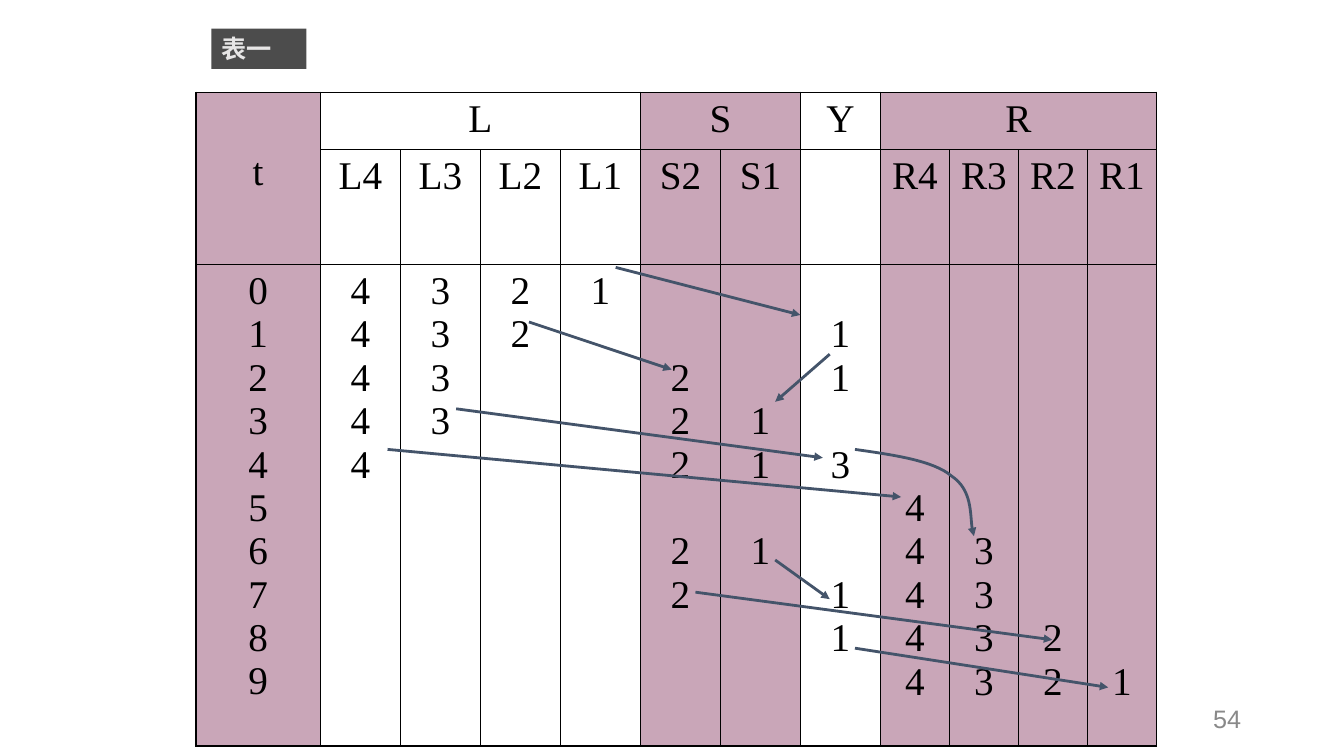
from dataclasses import dataclass

from lxml.etree import SubElement
from pptx import Presentation
from pptx.dml.color import RGBColor
from pptx.enum.shapes import MSO_CONNECTOR, MSO_SHAPE
from pptx.enum.text import MSO_ANCHOR, MSO_AUTO_SIZE, PP_ALIGN
from pptx.oxml.ns import qn
from pptx.util import Pt

COLORS = {
    "ink": "000000",
    "shade": "954F72",
    "arrow": "44546A",
    "label": "E7E6E6",
    "number": "898989",
}
SERIF = "Times New Roman"
TABLE_SIZE = 28
LINE_PITCH = 31
CELL_MARGIN = 3.6
TIME_OFFSET = 38
INNER_BORDER = 0.45
OUTER_BORDER = 1.08
ROW_HEIGHTS = (41, 82, 344)


@dataclass(frozen=True)
class Column:
    name: str
    width: float
    shaded: bool
    trace: str


@dataclass(frozen=True)
class Group:
    name: str
    first: int
    columns: int
    rows: int = 1


@dataclass(frozen=True)
class Arrow:
    x1: float
    y1: float
    x2: float
    y2: float


COLUMNS = (
    Column("", 89, True, "0123456789"),
    Column("L4", 57.2, False, "44444"),
    Column("L3", 57.2, False, "3333"),
    Column("L2", 57.2, False, "22"),
    Column("L1", 57.2, False, "1"),
    Column("S2", 57.2, True, "..222.22"),
    Column("S1", 57.2, True, "...11.1"),
    Column("", 57.2, False, ".11.3..11"),
    Column("R4", 49.3, True, ".....44444"),
    Column("R3", 49.3, True, "......3333"),
    Column("R2", 49.3, True, "........22"),
    Column("R1", 49.3, True, ".........1"),
)
GROUPS = (
    Group("t", 0, 1, 2),
    Group("L", 1, 4),
    Group("S", 5, 2),
    Group("Y", 7, 1),
    Group("R", 8, 4),
)
ARROWS = (
    Arrow(440, 191, 572, 225),
    Arrow(378, 230, 480, 264),
    Arrow(326, 292, 588, 327),
    Arrow(277, 321, 644, 355),
    Arrow(554, 400, 593, 428),
    Arrow(497, 423, 752, 457),
    Arrow(611, 463, 792, 491),
    Arrow(593, 253, 554, 287),
)
CURVE = (
    (611, 321), (639, 325), (667, 329), (680, 340),
    (695, 350), (693, 376), (696, 383),
)


def color(name: str) -> RGBColor:
    return RGBColor.from_string(COLORS[name])


def fill_translucent(fill, name: str, percent: int) -> None:
    fill.solid()
    fill.fore_color.rgb = color(name)
    for value in fill._xPr.find(qn("a:solidFill")):
        SubElement(value, qn("a:alpha"), val=str(percent * 1000))


def add_run(paragraph, text: str, size: float, font: str, name: str, bold: bool = False) -> None:
    run = paragraph.add_run()
    run.text = text
    run.font.size = Pt(size)
    run.font.name = font
    run.font.bold = bold
    run.font.color.rgb = color(name)


def write_cell(cell, trace: str) -> None:
    paragraph = None
    skipped = 0
    for value in trace:
        if value == ".":
            skipped += 1
            continue
        if paragraph is None:
            paragraph = cell.text_frame.paragraphs[0]
            cell.margin_top = Pt(CELL_MARGIN + skipped * LINE_PITCH)
        else:
            paragraph = cell.text_frame.add_paragraph()
            paragraph.space_before = Pt(skipped * LINE_PITCH)
        paragraph.alignment = PP_ALIGN.CENTER
        add_run(paragraph, value, TABLE_SIZE, SERIF, "ink")
        skipped = 0


def write_heading(cell, text: str) -> None:
    paragraph = cell.text_frame.paragraphs[0]
    paragraph.alignment = PP_ALIGN.CENTER
    add_run(paragraph, text, TABLE_SIZE, SERIF, "ink")


def style_cell(cell, row: int, index: int) -> None:
    last_row = row + cell.span_height - 1 if cell.is_merge_origin else row
    last_column = index + cell.span_width - 1 if cell.is_merge_origin else index
    outer = {
        "L": index == 0,
        "R": last_column == len(COLUMNS) - 1,
        "T": row == 0,
        "B": last_row == len(ROW_HEIGHTS) - 1,
    }
    properties = cell._tc.get_or_add_tcPr()
    for side, is_outer in outer.items():
        width = Pt(OUTER_BORDER if is_outer else INNER_BORDER)
        border = SubElement(properties, qn(f"a:ln{side}"), w=str(width))
        SubElement(SubElement(border, qn("a:solidFill")), qn("a:srgbClr"), val=COLORS["ink"])
    if COLUMNS[index].shaded:
        fill_translucent(cell.fill, "shade", 50)
    else:
        cell.fill.background()


def add_trace_table(slide) -> None:
    width = sum(column.width for column in COLUMNS)
    table = slide.shapes.add_table(
        len(ROW_HEIGHTS), len(COLUMNS), Pt(140), Pt(66), Pt(width), Pt(sum(ROW_HEIGHTS))
    ).table
    table.first_row = False
    table.horz_banding = False
    for row, height in zip(table.rows, ROW_HEIGHTS):
        row.height = Pt(height)
    for group in GROUPS:
        cell = table.cell(0, group.first)
        if group.columns * group.rows > 1:
            cell.merge(table.cell(group.rows - 1, group.first + group.columns - 1))
        write_heading(cell, group.name)
    table.cell(0, 0).margin_top = Pt(CELL_MARGIN + TIME_OFFSET)
    for index, column in enumerate(COLUMNS):
        table.columns[index].width = Pt(column.width)
        if column.name:
            write_heading(table.cell(1, index), column.name)
        write_cell(table.cell(2, index), column.trace)
        for row in range(len(ROW_HEIGHTS)):
            cell = table.cell(row, index)
            if not cell.is_spanned:
                style_cell(cell, row, index)


def style_arrow(shape) -> None:
    shape.line.color.rgb = color("arrow")
    shape.line.width = Pt(2)
    SubElement(shape.line._get_or_add_ln(), qn("a:tailEnd"), type="triangle")


def add_arrow(slide, arrow: Arrow) -> None:
    connector = slide.shapes.add_connector(
        MSO_CONNECTOR.STRAIGHT, Pt(arrow.x1), Pt(arrow.y1), Pt(arrow.x2), Pt(arrow.y2)
    )
    style_arrow(connector)
    SubElement(connector._element.spPr, qn("a:effectLst"))


def add_curved_arrow(slide) -> None:
    start, *points = [(Pt(x), Pt(y)) for x, y in CURVE]
    builder = slide.shapes.build_freeform(*start)
    builder.add_line_segments(points, close=False)
    shape = builder.convert_to_shape()
    outline = next(shape._element.iter(qn("a:path")))
    segments = outline.findall(qn("a:lnTo"))
    for first in range(0, len(segments), 3):
        curve = SubElement(outline, qn("a:cubicBezTo"))
        for segment in segments[first:first + 3]:
            curve.append(segment[0])
            outline.remove(segment)
    shape.fill.background()
    shape.shadow.inherit = False
    style_arrow(shape)


def add_label(slide) -> None:
    shape = slide.shapes.add_shape(MSO_SHAPE.RECTANGLE, Pt(151), Pt(20.5), Pt(68), Pt(28.8))
    shape.shadow.inherit = False
    fill_translucent(shape.fill, "ink", 70)
    shape.line.fill.background()
    frame = shape.text_frame
    frame.word_wrap = True
    frame.auto_size = MSO_AUTO_SIZE.SHAPE_TO_FIT_TEXT
    frame.vertical_anchor = MSO_ANCHOR.TOP
    paragraph = frame.paragraphs[0]
    paragraph.alignment = PP_ALIGN.LEFT
    add_run(paragraph, "表一", 18, SERIF, "label", bold=True)


def add_slide_number(slide) -> None:
    frame = slide.shapes.add_textbox(Pt(678), Pt(500.4), Pt(216), Pt(28.8)).text_frame
    frame.word_wrap = True
    frame.vertical_anchor = MSO_ANCHOR.MIDDLE
    paragraph = frame.paragraphs[0]
    paragraph.alignment = PP_ALIGN.RIGHT
    paragraph.line_spacing = 0.9
    add_run(paragraph, "54", 18, "Arial", "number")


def main() -> None:
    presentation = Presentation()
    presentation.slide_width = Pt(960.5)
    presentation.slide_height = Pt(540)
    slide = presentation.slides.add_slide(presentation.slide_layouts[6])
    add_trace_table(slide)
    for arrow in ARROWS:
        add_arrow(slide, arrow)
    add_curved_arrow(slide)
    add_label(slide)
    add_slide_number(slide)
    presentation.save("out.pptx")


if __name__ == "__main__":
    main()
